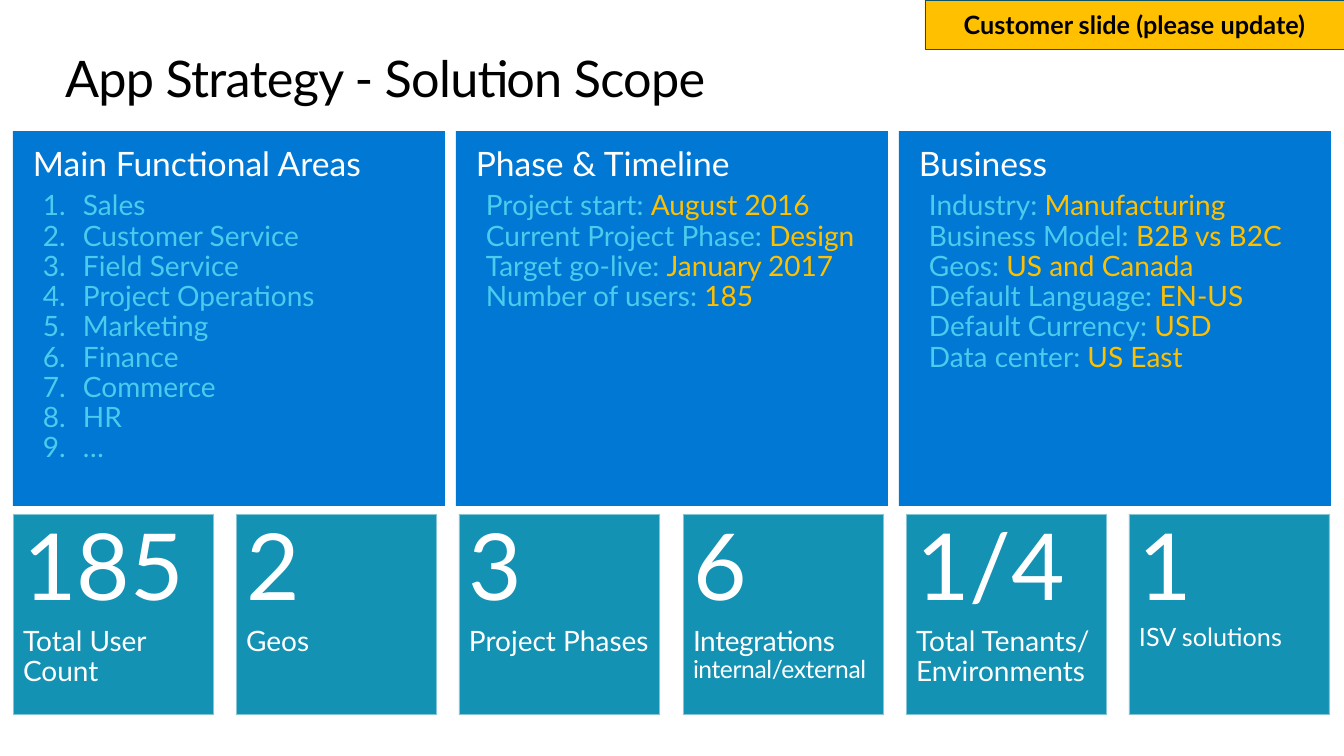
from dataclasses import dataclass
from typing import Optional

from lxml.etree import SubElement
from pptx import Presentation
from pptx.dml.color import RGBColor
from pptx.enum.shapes import MSO_SHAPE as Preset
from pptx.enum.text import MSO_ANCHOR as Anchor, MSO_AUTO_SIZE as AutoSize, PP_ALIGN as Align
from pptx.oxml.ns import qn
from pptx.util import Pt

PX = 12192000 / 1344
FONT = "Lato"
COLORS = {
    "black": "000000", "white": "FFFFFF", "panel": "0078D4", "card": "1392B3",
    "card_line": "F9F9F9", "label": "4CCBED", "amber": "FFC000", "badge_line": "0B5569",
}


@dataclass(frozen=True)
class Span:
    """A run of text with its look."""
    text: str
    size: float
    color: str = "white"
    bold: bool = False
    spacing: int = 0


@dataclass(frozen=True)
class Layout:
    """Paragraph format: indents in pixels, spacing in lines and points."""
    line: Optional[float] = None
    after: float = 0
    margin: int = 0
    indent: int = 0
    numbered: bool = False
    align: Align = Align.LEFT


@dataclass(frozen=True)
class Panel:
    """A large blue panel with a heading and rows of label and value."""
    heading: str
    rows: tuple
    layout: Layout


@dataclass(frozen=True)
class Card:
    """A small square card with a figure and its caption."""
    figure: str
    caption: tuple
    line: float = 0.9
    right_inset: int = 10


NUMBERED = Layout(0.9, margin=50, indent=-40, numbered=True)
AREAS = ("Sales", "Customer Service", "Field Service", "Project Operations",
         "Marketing", "Finance", "Commerce", "HR", "…")
PANELS = (
    Panel("Main Functional Areas", tuple((area,) for area in AREAS), NUMBERED),
    Panel("Phase & Timeline", (
        ("Project start: ", "August 2016"),
        ("Current Project Phase: ", "Design"),
        ("Target go-live: ", "January 2017"),
        ("Number of users: ", "185"),
    ), Layout(0.9, indent=10)),
    Panel("Business", (
        ("Industry: ", "Manufacturing"),
        ("Business Model: ", "B2B vs B2C"),
        ("Geos: ", "US and Canada"),
        ("Default Language: ", "EN-US"),
        ("Default Currency: ", "USD"),
        ("Data center: ", "US East"),
    ), Layout(0.9, margin=39, indent=-29)),
)
CARDS = (
    Card("185", (Span("Total User Count", 20),)),
    Card("2", (Span("Geos", 20),)),
    Card("3", (Span("Project Phases", 20),)),
    Card("6", (Span("Integrations ", 20, spacing=-30),
               Span("internal/external", 17.6, spacing=-30)), right_inset=0),
    Card("1/4", (Span("Total Tenants/ Environments", 20),)),
    Card("1", (Span("ISV solutions", 18),), line=0.8),
)


def px(value: float) -> int:
    """Turn pixels into EMU."""
    return round(value * PX)


def rgb(name: str) -> RGBColor:
    """Look up a named colour."""
    return RGBColor.from_string(COLORS[name])


def place(shape, left: int, top: int, width: int, height: int) -> None:
    """Move and size a shape."""
    shape.left, shape.top, shape.width, shape.height = map(px, (left, top, width, height))


def set_frame(shape, insets: tuple, anchor: Anchor):
    """Set insets, wrap and anchor, and return the text frame."""
    frame = shape.text_frame
    frame.margin_left, frame.margin_top, frame.margin_right, frame.margin_bottom = map(px, insets)
    frame.word_wrap = True
    frame.vertical_anchor = anchor
    return frame


def add_box(page, area: tuple, fill: str, line: Optional[str] = None, width: float = 0):
    """Add a flat rectangle."""
    box = page.shapes.add_shape(Preset.RECTANGLE, *map(px, area))
    box.shadow.inherit = False
    box.fill.solid()
    box.fill.fore_color.rgb = rgb(fill)
    if line:
        box.line.color.rgb = rgb(line)
        box.line.width = Pt(width)
    else:
        box.line.fill.background()
    return box


def write(frame, spans: tuple, layout: Layout = Layout(), first: bool = False) -> None:
    """Write one paragraph, run by run."""
    para = frame.paragraphs[0] if first else frame.add_paragraph()
    para.alignment = layout.align
    para.space_before, para.space_after = Pt(0), Pt(layout.after)
    if layout.line:
        para.line_spacing = layout.line
    props = para._p.get_or_add_pPr()
    props.set("marL", str(px(layout.margin)))
    props.set("indent", str(px(layout.indent)))
    if layout.numbered:
        SubElement(props, qn("a:buAutoNum"), type="arabicPeriod")
    for item in spans:
        span = para.add_run()
        span.text = item.text
        span.font.name, span.font.size, span.font.bold = FONT, Pt(item.size), item.bold
        span.font.color.rgb = rgb(item.color)
        if item.spacing:
            span._r.get_or_add_rPr().set("spc", str(item.spacing))


def draw_title(page) -> None:
    """Format the title placeholder."""
    title = page.shapes.title
    place(title, 65, 50, 1215, 62)
    frame = set_frame(title, (0, 0, 0, 0), Anchor.MIDDLE)
    frame.auto_size = AutoSize.SHAPE_TO_FIT_TEXT
    write(frame, (Span("App Strategy - Solution Scope", 36, "black", spacing=-50),),
          Layout(0.9), first=True)


def draw_badge(page) -> None:
    """Draw the reminder in the top right corner."""
    badge = add_box(page, (925, 0, 419, 49), "amber", "badge_line", 0.25)
    frame = set_frame(badge, (10, 5, 10, 5), Anchor.MIDDLE)
    write(frame, (Span("Customer slide (please update)", 18, "black", True),),
          Layout(align=Align.CENTER), first=True)


def draw_panel(page, panel: Panel, left: float) -> None:
    """Draw a panel with its heading and rows."""
    box = add_box(page, (left, 131, 432, 375), "panel")
    frame = set_frame(box, (20, 16, 20, 16), Anchor.TOP)
    write(frame, (Span(panel.heading, 24),), Layout(0.9, 6), first=True)
    for row in panel.rows:
        spans = tuple(Span(text, 20, color) for text, color in zip(row, ("label", "amber")))
        write(frame, spans, panel.layout)


def draw_card(page, card: Card, left: float) -> None:
    """Draw a card with its half transparent outline."""
    box = add_box(page, (left, 514, 201, 201), "card", "card_line", 1.35)
    color = box._element.spPr.find(qn("a:ln")).find(".//" + qn("a:srgbClr"))
    SubElement(color, qn("a:alpha"), val="50000")
    frame = set_frame(box, (10, 16, card.right_inset, 16), Anchor.TOP)
    write(frame, (Span(card.figure, 66),), Layout(0.8, 5.9), first=True)
    write(frame, card.caption, Layout(card.line, 5.9))


deck = Presentation()
deck.slide_width, deck.slide_height = px(1344), px(756)
page = deck.slides.add_slide(deck.slide_layouts.get_by_name("Title Only"))
draw_badge(page)
draw_title(page)
for index, panel in enumerate(PANELS):
    draw_panel(page, panel, 13 + 443 * index)
for index, card in enumerate(CARDS):
    draw_card(page, card, round(13 + 223.2 * index))
deck.save("out.pptx")
